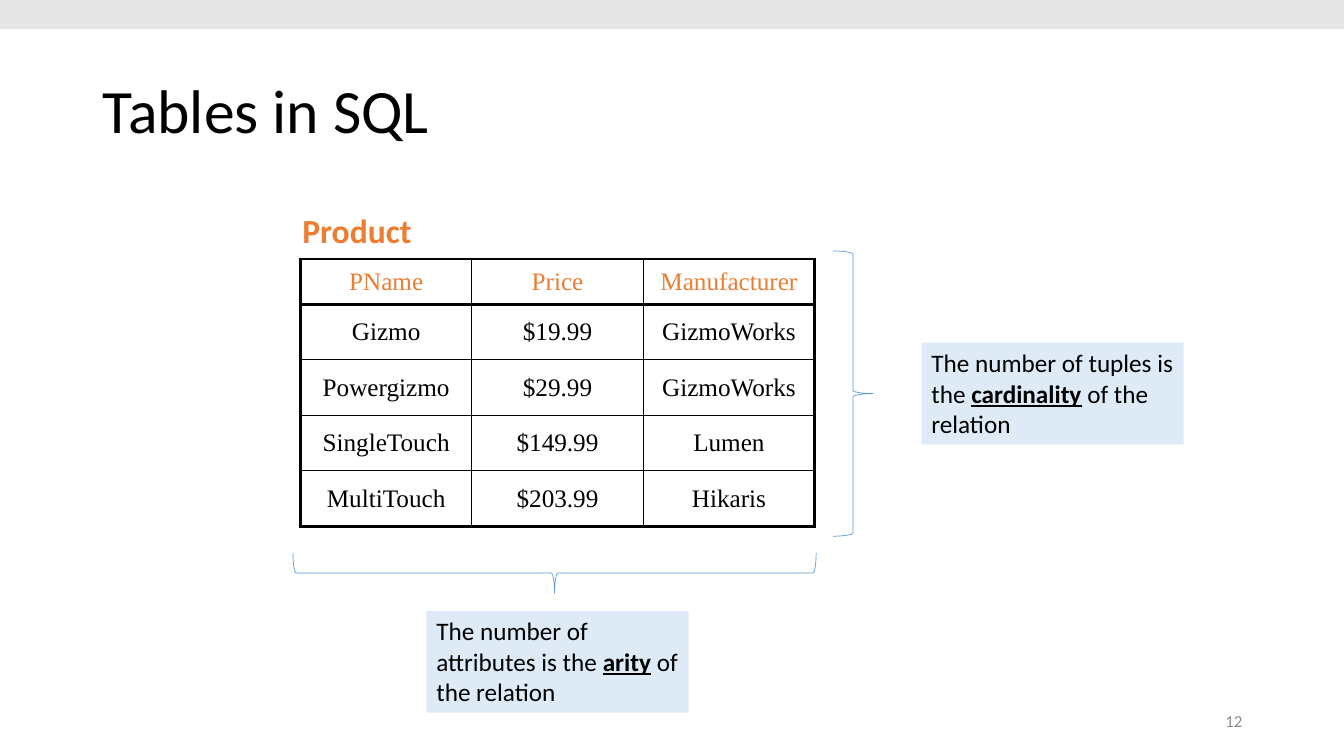
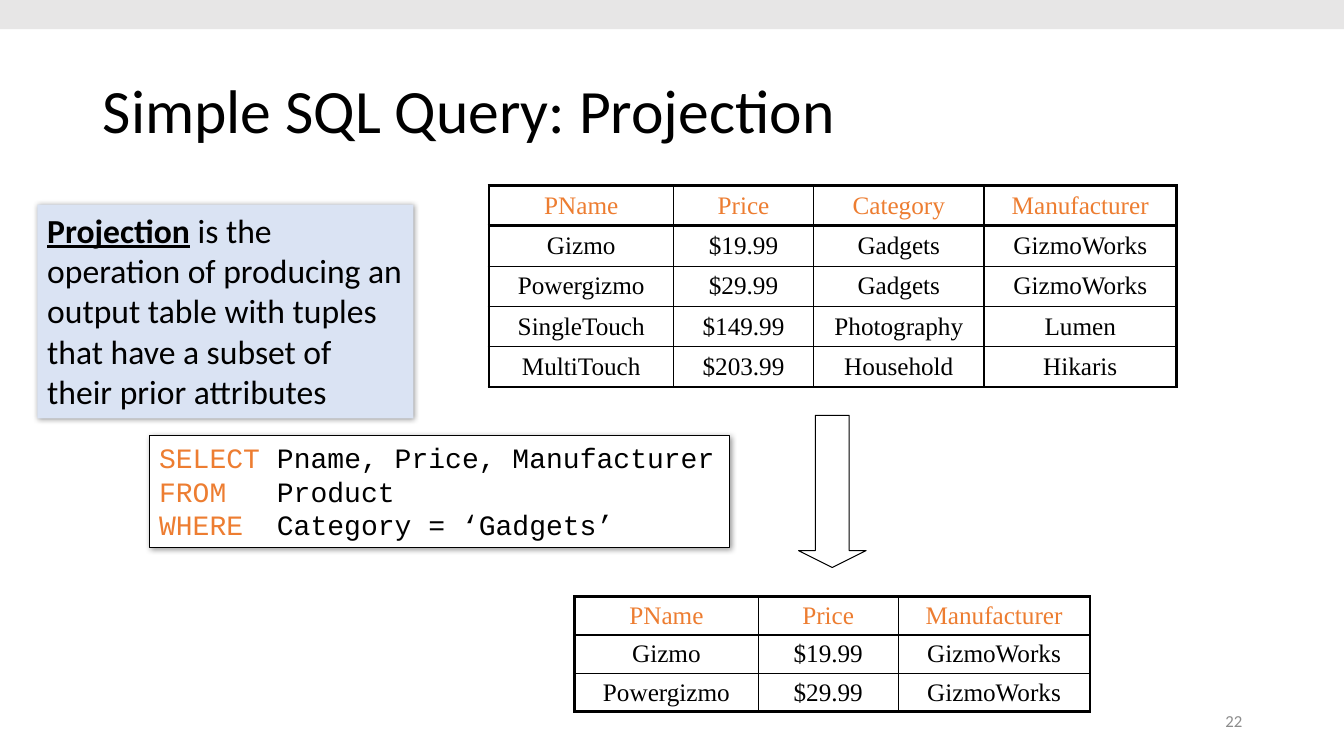
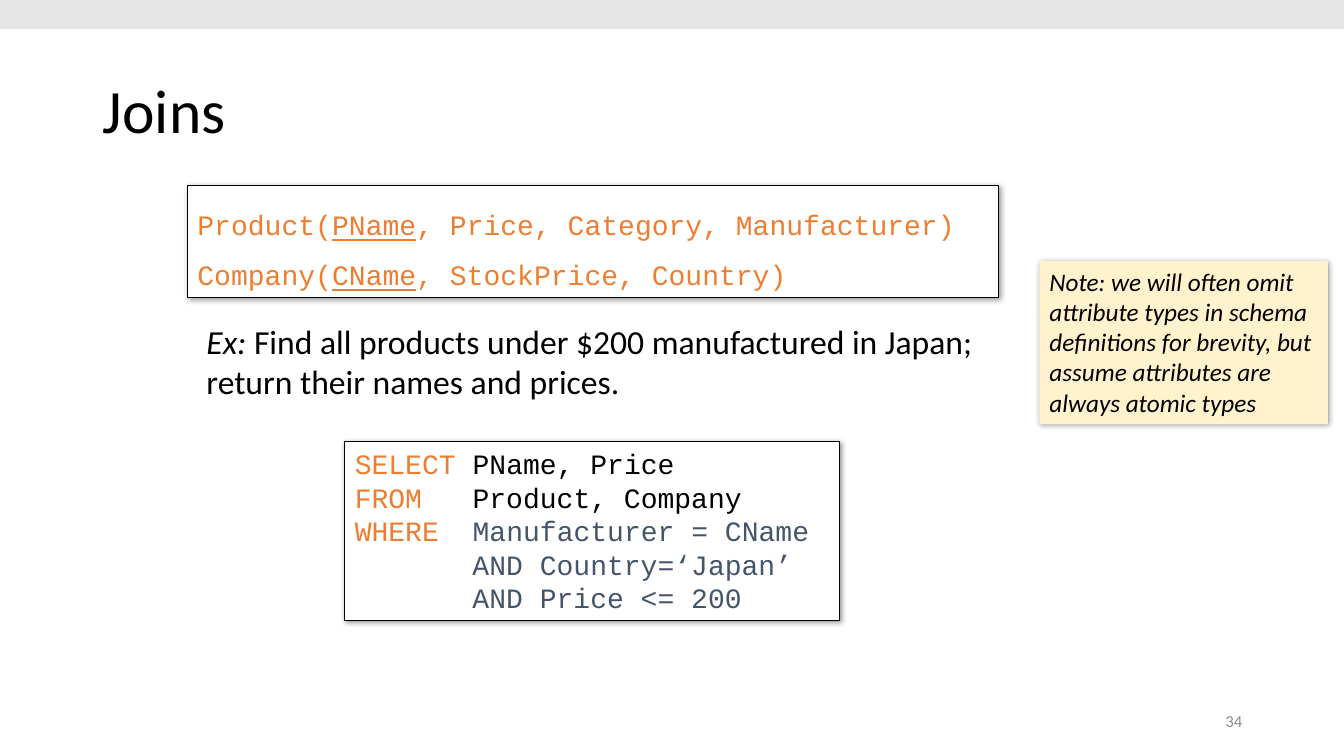
from dataclasses import dataclass
from typing import NamedTuple

from lxml import etree
from pptx import Presentation
from pptx import util as u
from pptx.dml.color import RGBColor
from pptx.enum import shapes, text
from pptx.oxml import ns

COLORS = {
    "black": "000000",
    "white": "FFFFFF",
    "orange": "ED7D31",
    "slate": "44546A",
    "blue": "5B9BD5",
    "pale blue": "DEEBF7",
    "lavender": "DAE3F3",
    "cream": "FFF2CC",
    "band": "E7E6E6",
    "number": "8C8C8C",
}
SANS, SERIF, MONO = "Calibri", "Times New Roman", "Courier New"
SLIDE_WIDTH, SLIDE_HEIGHT = 13.33, 7.5
THICK, THIN = 2.25, 1
SHAPE = shapes.MSO_SHAPE
ALIGN = text.PP_ALIGN
ANCHOR = text.MSO_ANCHOR

HEADER = ("PName", "Price", "Category", "Manufacturer")
PRODUCTS = [
    ("Gizmo", "$19.99", "Gadgets", "GizmoWorks"),
    ("Powergizmo", "$29.99", "Gadgets", "GizmoWorks"),
    ("SingleTouch", "$149.99", "Photography", "Lumen"),
    ("MultiTouch", "$203.99", "Household", "Hikaris"),
]


class Place(NamedTuple):
    left: float
    top: float
    width: float
    height: float

    def lengths(self) -> list:
        return [u.Inches(value) for value in self]


class Span(NamedTuple):
    text: str
    color: str = "black"
    bold: bool = False
    italic: bool = False
    underline: bool = False


@dataclass
class Panel:
    place: Place
    paragraphs: list
    fill: str | None = None
    line: str | None = None
    shadow: bool = False
    font: str = SANS
    size: float = 18
    spacing: float = 1


@dataclass
class Grid:
    left: float
    top: float
    widths: list
    heights: list
    rows: list


def rgb(name: str) -> RGBColor:
    return RGBColor.from_string(COLORS[name])


def write(frame, paragraphs: list, *, font: str = SANS, size: float = 18,
          align=ALIGN.LEFT, anchor=ANCHOR.TOP, spacing: float = 1) -> None:
    """Fill a text frame; each paragraph is a list of spans, a newline is a line break."""
    frame.word_wrap = True
    frame.auto_size = text.MSO_AUTO_SIZE.NONE
    frame.vertical_anchor = anchor
    for index, spans in enumerate(paragraphs):
        para = frame.paragraphs[0] if index == 0 else frame.add_paragraph()
        para.alignment = align
        para.line_spacing = spacing
        for span in spans:
            for row, line in enumerate(span.text.split("\n")):
                if row:
                    para.add_line_break()
                if not line:
                    continue
                run = para.add_run()
                run.text = line
                run.font.name = font
                run.font.size = u.Pt(size)
                run.font.color.rgb = rgb(span.color)
                run.font.bold = span.bold
                run.font.italic = span.italic
                run.font.underline = span.underline


def add_shape(slide, kind, place: Place, fill: str | None = None,
              line: str | None = None, weight: float = 0.75):
    shape = slide.shapes.add_shape(kind, *place.lengths())
    shape.shadow.inherit = False
    if fill:
        shape.fill.solid()
        shape.fill.fore_color.rgb = rgb(fill)
    else:
        shape.fill.background()
    if line:
        shape.line.color.rgb = rgb(line)
        shape.line.width = u.Pt(weight)
    else:
        shape.line.fill.background()
    return shape


def add_shadow(shape) -> None:
    effects = shape._element.spPr.find(ns.qn("a:effectLst"))
    outer = etree.SubElement(effects, ns.qn("a:outerShdw"), blurRad="50800",
                             dist="12700", dir="2700000", algn="tl", rotWithShape="0")
    color = etree.SubElement(outer, ns.qn("a:srgbClr"), val=COLORS["black"])
    etree.SubElement(color, ns.qn("a:alpha"), val="40000")


def add_panel(slide, panel: Panel) -> None:
    if panel.fill:
        box = add_shape(slide, SHAPE.RECTANGLE, panel.place, panel.fill, panel.line)
    else:
        box = slide.shapes.add_textbox(*panel.place.lengths())
    if panel.shadow:
        add_shadow(box)
    write(box.text_frame, panel.paragraphs, font=panel.font, size=panel.size,
          spacing=panel.spacing)


def add_brace(slide, place: Place, rotation: float = 0) -> None:
    brace = add_shape(slide, SHAPE.RIGHT_BRACE, place, line="blue", weight=0.5)
    brace.rotation = rotation


def set_borders(cell, weights: dict) -> None:
    properties = cell._tc.get_or_add_tcPr()
    for index, (side, weight) in enumerate(weights.items()):
        border = etree.Element(ns.qn(f"a:ln{side}"), w=str(u.Pt(weight)))
        fill = etree.SubElement(border, ns.qn("a:solidFill"))
        etree.SubElement(fill, ns.qn("a:srgbClr"), val=COLORS["black"])
        properties.insert(index, border)


def add_grid(slide, grid: Grid) -> None:
    """Draw a table with thick outer and header rules and thin inner rules."""
    place = Place(grid.left, grid.top, sum(grid.widths), sum(grid.heights))
    last_row, last_column = len(grid.heights) - 1, len(grid.widths) - 1
    table = slide.shapes.add_table(last_row + 1, last_column + 1, *place.lengths()).table
    table.first_row = table.horz_banding = False
    for column, width in zip(table.columns, grid.widths):
        column.width = u.Inches(width)
    for row, height in zip(table.rows, grid.heights):
        row.height = u.Inches(height)
    for r, values in enumerate(grid.rows):
        for c, value in enumerate(values):
            cell = table.cell(r, c)
            cell.margin_top = cell.margin_bottom = u.Inches(0.04)
            cell.fill.background()
            set_borders(cell, {
                "L": THICK if c == 0 else THIN,
                "R": THICK if c == last_column else THIN,
                "T": THICK if r <= 1 else THIN,
                "B": THICK if r in (0, last_row) else THIN,
            })
            write(cell.text_frame, [[Span(value, "black" if r else "orange")]],
                  font=SERIF, align=ALIGN.CENTER)
            cell.vertical_anchor = ANCHOR.MIDDLE


def without_category(rows: list) -> list:
    return [(name, price, maker) for name, price, _, maker in rows]


def add_slide(deck, title: str, number: int):
    """Add a slide with the shared band, title and page number."""
    slide = deck.slides.add_slide(deck.slide_layouts[5])
    add_shape(slide, SHAPE.RECTANGLE, Place(0, 0, SLIDE_WIDTH, 0.29), "band")
    heading = slide.shapes.title
    heading.left, heading.top, heading.width, heading.height = Place(
        0.92, 0.4, 11.5, 1.45).lengths()
    write(heading.text_frame, [[Span(title)]], size=44, anchor=ANCHOR.MIDDLE, spacing=0.9)
    footer = slide.shapes.add_textbox(*Place(9.42, 6.95, 3, 0.4).lengths())
    write(footer.text_frame, [[Span(str(number), "number")]], size=12,
          align=ALIGN.RIGHT, anchor=ANCHOR.MIDDLE)
    return slide


def build_tables_slide(deck) -> None:
    slide = add_slide(deck, "Tables in SQL", 12)
    add_grid(slide, Grid(2.98, 2.57, [1.7] * 3, [0.45] + [0.55] * 4,
                         without_category([HEADER] + PRODUCTS)))
    add_panel(slide, Panel(Place(2.9, 2.03, 1.35, 0.5),
                           [[Span("Product", "orange", bold=True)]], size=24))
    add_brace(slide, Place(8.26, 2.49, 0.4, 2.83))
    add_brace(slide, Place(5.3, 3.09, 0.4, 5.19), rotation=90)
    callouts = [
        (9.14, 3.4, "The number of tuples is the ", "cardinality", " of the relation"),
        (4.23, 6.06, "The number of attributes is the ", "arity", " of the relation"),
    ]
    for left, top, before, term, after in callouts:
        spans = [Span(before), Span(term, bold=True, underline=True), Span(after)]
        add_panel(slide, Panel(Place(left, top, 2.6, 1.01), [spans], fill="pale blue"))


def build_projection_slide(deck) -> None:
    slide = add_slide(deck, "Simple SQL Query: Projection", 22)
    add_grid(slide, Grid(4.85, 1.84, [1.83, 1.39, 1.69, 1.91], [0.4] * 5,
                         [HEADER] + PRODUCTS))
    arrow = add_shape(slide, SHAPE.DOWN_ARROW, Place(7.92, 4.12, 0.67, 1.51), line="black")
    arrow.adjustments[0], arrow.adjustments[1] = 0.5, 0.25
    gadgets = [row for row in PRODUCTS if row[2] == "Gadgets"]
    add_grid(slide, Grid(5.7, 5.92, [1.82, 1.39, 1.9], [0.38] * 3,
                         without_category([HEADER] + gadgets)))
    query = [
        Span("SELECT ", "orange"), Span("Pname, Price, Manufacturer\n"),
        Span("FROM", "orange"), Span("   Product\n"),
        Span("WHERE", "orange"), Span("  Category = ‘Gadgets’"),
    ]
    add_panel(slide, Panel(Place(1.48, 4.32, 5.76, 1.11), [query], "white", "black",
                           shadow=True, font=MONO, size=20))
    definition = [
        Span("Projection", bold=True, underline=True),
        Span(" is the operation of producing an output table with tuples "
             "that have a subset of their prior attributes"),
    ]
    add_panel(slide, Panel(Place(0.37, 2.03, 3.73, 2.12), [definition], "lavender",
                           shadow=True, size=24))


def build_joins_slide(deck) -> None:
    slide = add_slide(deck, "Joins", 34)
    example = [
        Span("Ex: ", italic=True),
        Span("Find all products under $200 manufactured in Japan;\n"
             "return their names and prices."),
    ]
    add_panel(slide, Panel(Place(1.95, 3.13, 7.86, 0.98), [example], size=24))
    query = [
        [Span("SELECT ", "orange"), Span("PName, Price\n"),
         Span("FROM", "orange"), Span("   Product, Company\n"),
         Span("WHERE  ", "orange"), Span("Manufacturer = CName", "slate")],
        [Span("       AND Country=‘Japan’\n       AND Price <= 200", "slate")],
    ]
    add_panel(slide, Panel(Place(3.42, 4.38, 4.91, 1.78), query, "white", "black",
                           shadow=True, font=MONO, size=20))
    schemas = [
        ("Product(", "PName", ", Price, Category, Manufacturer)"),
        ("Company(", "CName", ", StockPrice, Country)"),
    ]
    schema_lines = [
        [Span(relation, "orange"), Span(key, "orange", underline=True), Span(rest, "orange")]
        for relation, key, rest in schemas
    ]
    add_panel(slide, Panel(Place(1.86, 1.84, 8.04, 1.11), schema_lines, "white", "black",
                           shadow=True, font=MONO, size=20, spacing=1.5))
    note = Span("Note: we will often omit attribute types in schema definitions for "
                "brevity, but assume attributes are always atomic types", italic=True)
    add_panel(slide, Panel(Place(10.31, 2.59, 2.86, 1.62), [[note]], "cream", shadow=True))


def main() -> None:
    deck = Presentation()
    deck.slide_width = u.Inches(SLIDE_WIDTH)
    deck.slide_height = u.Inches(SLIDE_HEIGHT)
    build_tables_slide(deck)
    build_projection_slide(deck)
    build_joins_slide(deck)
    deck.save("out.pptx")


if __name__ == "__main__":
    main()
